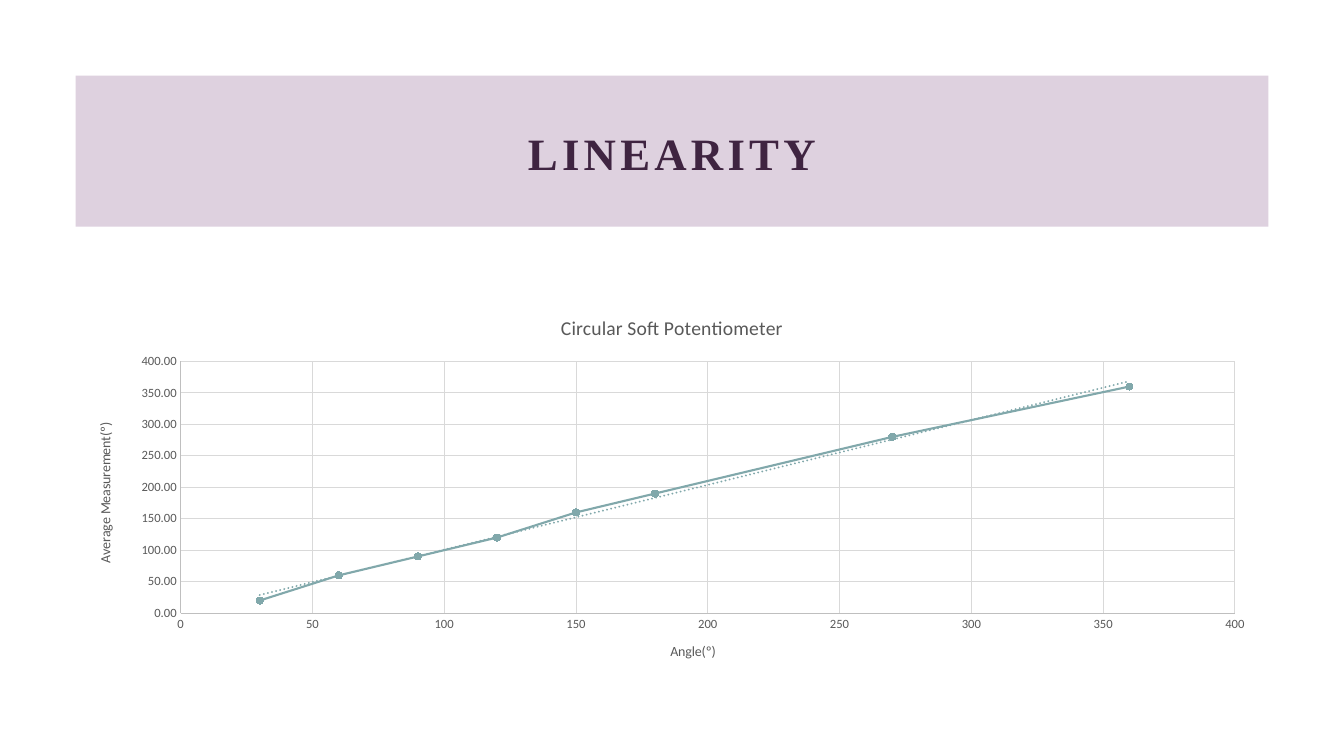
from lxml import etree
from pptx import Presentation
from pptx import util as u
from pptx.chart.data import XyChartData
from pptx.dml.color import RGBColor
from pptx.enum import chart as charts, shapes, text
from pptx.oxml import parse_xml
from pptx.oxml.ns import nsdecls, qn

PLUM = RGBColor(0x7F, 0x48, 0x83)
DARK_PLUM = RGBColor(0x3F, 0x24, 0x41)
TEAL = RGBColor(0x81, 0xA8, 0xAB)
GREY = RGBColor(0x59, 0x59, 0x59)
AXIS_GREY = RGBColor(0xBF, 0xBF, 0xBF)
GRID_GREY = RGBColor(0xD9, 0xD9, 0xD9)

ANGLES = (30, 60, 90, 120, 150, 180, 270, 360)
MEASUREMENTS = (20, 60, 90, 120, 160, 190, 280, 360)


class SlideBuilder:
    """Holds the chart text style and the slide, and adds each kind of element."""

    chart_font = {"name": "Calibri", "bold": False}

    def __init__(self, presentation):
        self.slide = presentation.slides.add_slide(presentation.slide_layouts[5])

    def apply(self, target, values):
        for name, value in values.items():
            setattr(target, name, value)

    def style_font(self, font, color, **values):
        self.apply(font, values)
        font.color.rgb = color

    def style_line(self, line, color, width):
        line.color.rgb = color
        line.width = u.Pt(width)

    def title(self, words, left, top, width, height):
        title = self.slide.shapes.title
        self.apply(title, dict(left=u.Inches(left), top=u.Inches(top),
                               width=u.Inches(width), height=u.Inches(height)))
        frame = title.text_frame
        self.apply(frame, dict(text=words, word_wrap=True,
                               auto_size=text.MSO_AUTO_SIZE.NONE,
                               vertical_anchor=text.MSO_ANCHOR.MIDDLE))
        paragraph = frame.paragraphs[0]
        self.apply(paragraph, dict(alignment=text.PP_ALIGN.CENTER, line_spacing=0.9))
        run = paragraph.runs[0]
        self.style_font(run.font, DARK_PLUM, name="Times New Roman",
                        size=u.Pt(32), bold=True)
        title.element.find(".//" + qn("a:rPr")).set("spc", "300")

    def band(self, left, top, width, height, color, opacity):
        band = self.slide.shapes.add_shape(
            shapes.MSO_SHAPE.RECTANGLE, u.Inches(left), u.Inches(top),
            u.Inches(width), u.Inches(height))
        band.shadow.inherit = False
        band.fill.solid()
        band.fill.fore_color.rgb = color
        band.line.fill.background()
        fill_color = band.element.spPr.find(qn("a:solidFill"))[0]
        etree.SubElement(fill_color, qn("a:alpha")).set("val", str(opacity * 1000))
        self.slide.shapes.title.element.addprevious(band.element)

    def chart_text(self, frame, words, size):
        frame.text = words
        self.style_font(frame.paragraphs[0].runs[0].font, GREY,
                        size=u.Pt(size), **self.chart_font)

    def axis(self, axis, words, number_format):
        self.apply(axis, dict(minimum_scale=0, maximum_scale=400, major_unit=50,
                              has_major_gridlines=True,
                              major_tick_mark=charts.XL_TICK_MARK.NONE,
                              minor_tick_mark=charts.XL_TICK_MARK.NONE))
        self.apply(axis.tick_labels, dict(number_format=number_format,
                                          number_format_is_linked=False))
        self.style_font(axis.tick_labels.font, GREY, size=u.Pt(9), **self.chart_font)
        self.style_line(axis.format.line, AXIS_GREY, 0.75)
        self.style_line(axis.major_gridlines.format.line, GRID_GREY, 0.75)
        self.chart_text(axis.axis_title.text_frame, words, 10)

    def trend_line(self, chart, color):
        trend = parse_xml(
            f'<c:trendline {nsdecls("c", "a")}><c:spPr><a:ln w="{u.Pt(1.5)}" cap="rnd">'
            f'<a:solidFill><a:srgbClr val="{color}"/></a:solidFill>'
            '<a:prstDash val="sysDot"/></a:ln></c:spPr><c:trendlineType val="linear"/>'
            '<c:dispRSqr val="0"/><c:dispEq val="0"/></c:trendline>')
        chart.element.find(".//" + qn("c:xVal")).addprevious(trend)

    def scatter(self, left, top, width, height):
        data = XyChartData()
        points = data.add_series("Series 1")
        for angle, measurement in zip(ANGLES, MEASUREMENTS):
            points.add_data_point(angle, measurement)
        chart = self.slide.shapes.add_chart(
            charts.XL_CHART_TYPE.XY_SCATTER_SMOOTH, u.Inches(left), u.Inches(top),
            u.Inches(width), u.Inches(height), data).chart
        chart.has_legend = False
        self.style_font(chart.font, GREY, size=u.Pt(10), **self.chart_font)
        self.chart_text(chart.chart_title.text_frame, "Circular Soft Potentiometer", 14)
        chart.chart_title.include_in_layout = False
        self.axis(chart.category_axis, "Angle(º)", "General")
        self.axis(chart.value_axis, "Average Measurement(º)", "0.00")
        plot = chart.plots[0]
        plot.vary_by_categories = False
        series = plot.series[0]
        self.style_line(series.format.line, TEAL, 1.5)
        marker = series.marker
        self.apply(marker, dict(style=charts.XL_MARKER_STYLE.CIRCLE, size=5))
        marker.format.fill.solid()
        marker.format.fill.fore_color.rgb = TEAL
        self.style_line(marker.format.line, TEAL, 0.75)
        self.trend_line(chart, TEAL)


def main():
    presentation = Presentation()
    presentation.slide_width = u.Inches(13.33)
    presentation.slide_height = u.Inches(7.5)
    builder = SlideBuilder(presentation)
    builder.band(0.75, 0.75, 11.83, 1.5, PLUM, 25)
    builder.title("LINEARITY", 1.53, 1.04, 10.27, 1.02)
    builder.scatter(0.75, 2.95, 11.83, 3.8)
    presentation.save("out.pptx")


if __name__ == "__main__":
    main()
